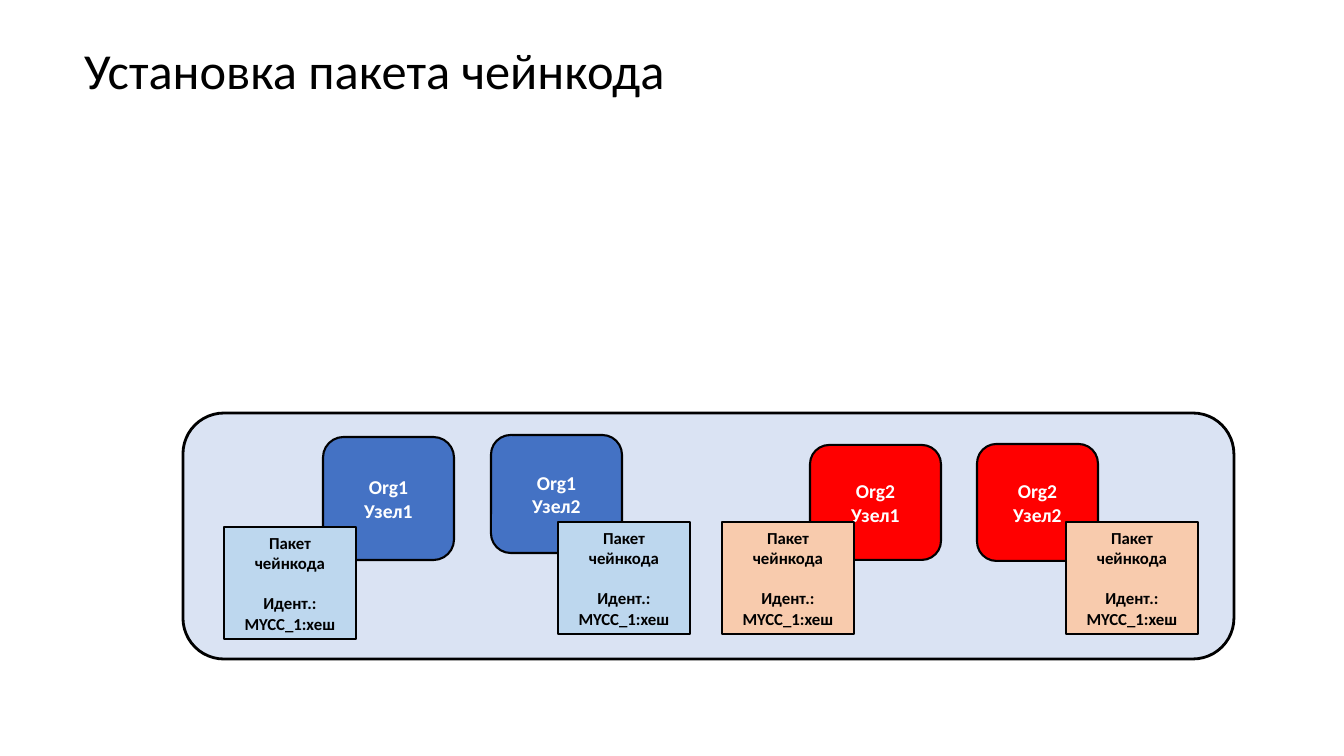
from pptx import Presentation
from pptx import util as u
from pptx.dml.color import RGBColor
from pptx.enum import shapes, text

BLACK = RGBColor(0x00, 0x00, 0x00)
WHITE = RGBColor(0xFF, 0xFF, 0xFF)
PALE = RGBColor(0xDA, 0xE3, 0xF3)
BLUE = RGBColor(0x44, 0x72, 0xC4)
RED = RGBColor(0xFF, 0x00, 0x00)
SKY = RGBColor(0xBD, 0xD7, 0xEE)
PEACH = RGBColor(0xF8, 0xCB, 0xAD)

FONT = "Calibri"
TITLE = "Установка пакета чейнкода"
PACK = ("Пакет чейнкода", "Идент.: MYCC_1:хеш")
PACK_W, PACK_H = 132, 112

# lines, fill, left, top, width, height
PEERS = [
    (("Org1", "Узел1"), BLUE, 323, 437, 131, 123),
    (("Org1", "Узел2"), BLUE, 491, 435, 131, 118),
    (("Org2", "Узел1"), RED, 810, 445, 131, 115),
    (("Org2", "Узел2"), RED, 977, 444, 121, 117),
]
# fill, left, top
PACKS = [(SKY, 558, 522), (PEACH, 1066, 522), (SKY, 224, 527), (PEACH, 722, 522)]


def px(n):
    """Turn pixels into EMU."""
    return u.Emu(round(n * 914400 / 100.8))


def style(para, size, color, bold=True, align=text.PP_ALIGN.CENTER):
    """Set the font and alignment of a paragraph."""
    font = para.font
    font.name, font.size, font.bold = FONT, u.Pt(size), bold
    font.color.rgb = color
    para.alignment = align


def box(kind, spot, fill, width, lines=(), size=14, color=WHITE, gap=0):
    """Draw an outlined shape with centred lines of text."""
    shape = slide.shapes.add_shape(kind, *map(px, spot))
    shape.shadow.inherit = False
    shape.fill.solid()
    shape.fill.fore_color.rgb = fill
    shape.line.color.rgb = BLACK
    shape.line.width = u.Pt(width)
    frame = shape.text_frame
    frame.word_wrap = True
    frame.vertical_anchor = text.MSO_ANCHOR.MIDDLE
    for i, line in enumerate(lines):
        para = frame.add_paragraph() if i else frame.paragraphs[0]
        para.text = line
        style(para, size, color)
        if i:
            para.space_before = u.Pt(gap)


deck = Presentation()
deck.slide_width, deck.slide_height = px(1344), px(756)
slide = deck.slides.add_slide(deck.slide_layouts[5])

head = slide.shapes.title
head.left, head.top, head.width, head.height = map(px, (79, 25, 1159, 96))
frame = head.text_frame
frame.text = TITLE
frame.word_wrap = True
frame.vertical_anchor = text.MSO_ANCHOR.MIDDLE
frame.margin_left = frame.margin_right = px(5)
frame.margin_top = frame.margin_bottom = px(5)
style(frame.paragraphs[0], 36, BLACK, False, text.PP_ALIGN.LEFT)
frame.paragraphs[0].line_spacing = 0.9

ROUND = shapes.MSO_SHAPE.ROUNDED_RECTANGLE
RECT = shapes.MSO_SHAPE.RECTANGLE
box(ROUND, (183, 413, 1051, 246), PALE, 2)
for lines, fill, *spot in PEERS:
    box(ROUND, spot, fill, 1.5, lines)
for fill, left, top in PACKS:
    box(RECT, (left, top, PACK_W, PACK_H), fill, 1.5, PACK, 12, BLACK, 14.5)

deck.save("out.pptx")
